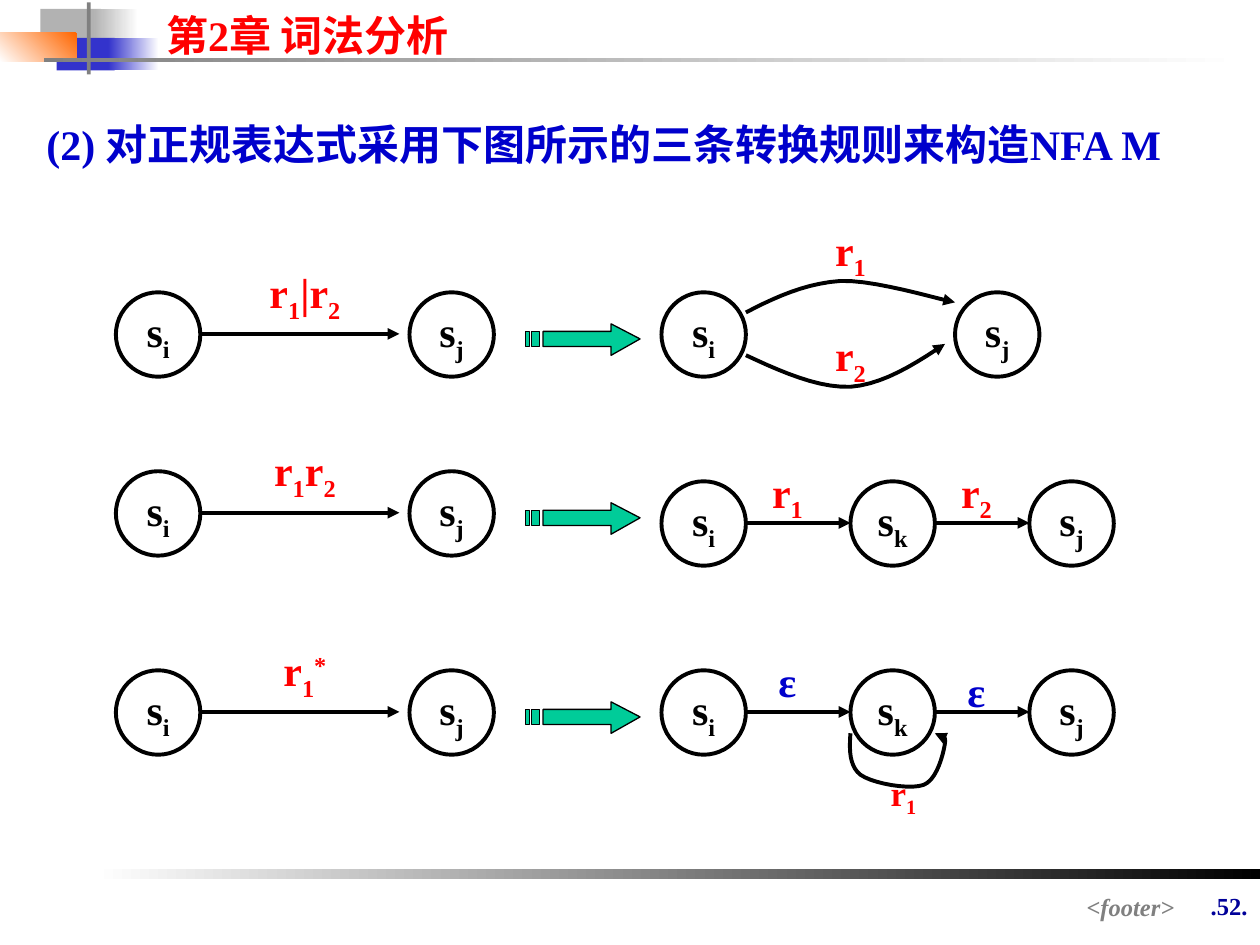
"""Build the slide with three rules for turning a regular expression into an NFA."""
from lxml import etree
from pptx import Presentation
from pptx.dml.color import RGBColor
from pptx.enum.shapes import MSO_CONNECTOR, MSO_SHAPE
from pptx.enum.text import MSO_ANCHOR, PP_ALIGN
from pptx.oxml.ns import qn
from pptx.util import Inches, Pt

RECT, OVAL = MSO_SHAPE.RECTANGLE, MSO_SHAPE.OVAL
LINE = MSO_CONNECTOR.STRAIGHT
MIDDLE = MSO_ANCHOR.MIDDLE
LEFT, CENTER, RIGHT = PP_ALIGN.LEFT, PP_ALIGN.CENTER, PP_ALIGN.RIGHT
FONT = "Times New Roman"
SHIFT = {"_": "-25000", "^": "30000"}
HEX = {
    "black": "000000", "white": "FFFFFF", "red": "FF0000", "blue": "0000CC",
    "navy": "000099", "gray": "808080", "silver": "B2B2B2", "indigo": "3333CC",
    "orange": "FF6600", "green": "00CC99",
}
RGB = {name: RGBColor.from_string(value) for name, value in HEX.items()}


def write(shape, parts, size, color, align=CENTER, italic=False, wrap=True):
    """Fill a shape with runs; a leading _ lowers a run and ^ raises it."""
    frame = shape.text_frame
    frame.word_wrap = wrap
    para = frame.paragraphs[0]
    para.alignment = align
    for part in parts:
        run = para.add_run()
        run.text = part.lstrip("_^")
        run.font.name, run.font.size = FONT, Pt(size)
        run.font.bold, run.font.italic = True, italic
        run.font.color.rgb = RGB[color]
        if part[0] in SHIFT:
            run._r.get_or_add_rPr().set("baseline", SHIFT[part[0]])


def point(edge):
    """Draw an edge in black with an arrowhead at its end and no shadow."""
    edge.line.color.rgb = RGB["black"]
    edge.line.width = Pt(2.25)
    etree.SubElement(edge.line._get_or_add_ln(), qn("a:tailEnd"), type="triangle")
    etree.SubElement(edge._element.spPr, qn("a:effectLst"))


prs = Presentation()
prs.slide_width, prs.slide_height = Inches(10), Inches(7.5)
shapes = prs.slides.add_slide(prs.slide_layouts[6]).shapes

bars = [
    (0.32, 0.07, 0.48, 0.26, "silver", "silver", 0),
    (0.74, 0.07, 0.36, 0.26, "white", "silver", 180),
    (0.45, 0.3, 0.46, 0.26, "indigo", "indigo", 0),
    (0.86, 0.3, 0.4, 0.26, "white", "indigo", 180),
    (0, 0.26, 0.61, 0.23, "orange", "white", 225),
    (0.69, 0.02, 0.03, 0.57, "gray", "gray", 0),
    (0.35, 0.46, 9.51, 0.03, "white", "gray", 180),
    (0.75, 6.9, 9.25, 0.08, "black", "white", 180),
]
for x, y, w, h, first, last, angle in bars:
    bar = shapes.add_shape(RECT, Inches(x), Inches(y), Inches(w), Inches(h))
    bar.shadow.inherit = False
    bar.line.fill.background()
    if first == last:
        bar.fill.solid()
        bar.fill.fore_color.rgb = RGB[first]
    else:
        bar.fill.gradient()
        bar.fill.gradient_angle = angle
        for stop, name in zip(bar.fill.gradient_stops, (first, last)):
            stop.color.rgb = RGB[name]

texts = [
    (1.22, 0.03, 3.15, 0.5, "第2章 词法分析", 24, "red", LEFT, False),
    (0.27, 0.89, 9.53, 0.5, "(2) 对正规表达式采用下图所示的三条转换规则来构造NFA M",
     24, "blue", LEFT, False),
    (9.33, 7.02, 0.67, 0.57, ".52.", 14, "navy", RIGHT, False),
    (2.64, 7.03, 6.78, 0.26, "<footer>", 14, "gray", RIGHT, True),
]
for x, y, w, h, text, size, color, align, italic in texts:
    box = shapes.add_textbox(Inches(x), Inches(y), Inches(w), Inches(h))
    write(box, [text], size, color, align, italic)

rows = [2.65, 4.07, 5.65]
chains = [4.15, 5.65]
nodes = [(x, y, sub) for y in rows for x, sub in ((0.92, "i"), (3.25, "j"))]
nodes += [(5.25, 2.65, "i"), (7.58, 2.65, "j")]
nodes += [(x, y, sub) for y in chains
          for x, sub in ((5.25, "i"), (6.75, "k"), (8.17, "j"))]
for x, y, sub in nodes:
    node = shapes.add_shape(OVAL, Inches(x), Inches(y - 0.33), Inches(0.67), Inches(0.67))
    node.shadow.inherit = False
    node.fill.background()
    node.line.color.rgb = RGB["black"]
    node.line.width = Pt(2.25)
    node.text_frame.vertical_anchor = MIDDLE
    write(node, ["s", "_" + sub], 24, "black", wrap=False)

edges = [(1.58, 3.17, y) for y in rows]
edges += [(a, b, y) for y in chains for a, b in ((5.92, 6.75), (7.42, 8.17))]
for a, b, y in edges:
    point(shapes.add_connector(LINE, Inches(a), Inches(y), Inches(b), Inches(y)))

for y in rows:
    top, low = y - 0.02, y + 0.1
    parts = [
        [(4.31, top), (4.85, top), (4.85, y - 0.08), (5.08, y + 0.04),
         (4.85, y + 0.17), (4.85, low), (4.31, low)],
        [(4.17, top), (4.2, top), (4.2, low), (4.17, low)],
        [(4.22, top), (4.28, top), (4.28, low), (4.22, low)],
    ]
    pen = shapes.build_freeform(Inches(4.31), Inches(top))
    for part in parts:
        dots = [(Inches(px), Inches(py)) for px, py in part]
        pen.move_to(*dots[0])
        pen.add_line_segments(dots[1:], close=True)
    arrow = pen.convert_to_shape()
    arrow.shadow.inherit = False
    arrow.fill.solid()
    arrow.fill.fore_color.rgb = RGB["green"]
    arrow.line.color.rgb = RGB["black"]
    arrow.line.width = Pt(0.75)

curves = [
    [(5.92, 2.48), (6.15, 2.36), (6.39, 2.25), (6.67, 2.23),
     (6.94, 2.22), (7.43, 2.37), (7.58, 2.4)],
    [(5.92, 2.82), (6.2, 2.95), (6.49, 3.08), (6.75, 3.07),
     (7.01, 3.05), (7.26, 2.89), (7.5, 2.73)],
    [(6.75, 5.82), (6.74, 5.95), (6.74, 6.08), (6.83, 6.15),
     (6.93, 6.22), (7.22, 6.27), (7.33, 6.23), (7.44, 6.19),
     (7.49, 5.97), (7.5, 5.9), (7.51, 5.83), (7.47, 5.82), (7.42, 5.82)],
]
STEPS = 10
for curve in curves:
    dots = []
    for k in range(0, len(curve) - 1, 3):
        for step in range(1, STEPS + 1):
            t = step / STEPS
            mix = ((1 - t) ** 3, 3 * t * (1 - t) ** 2, 3 * t * t * (1 - t), t ** 3)
            dots.append([Inches(sum(m * p[axis] for m, p in zip(mix, curve[k:k + 4])))
                         for axis in (0, 1)])
    pen = shapes.build_freeform(Inches(curve[0][0]), Inches(curve[0][1]))
    pen.add_line_segments(dots, close=False)
    arc = pen.convert_to_shape()
    arc.fill.background()
    point(arc)

labels = [
    (1.92, 2.07, ["r", "_1", "|r", "_2"], 24, "red"),
    (1.92, 3.48, ["r", "_1", "r", "_2"], 24, "red"),
    (1.92, 5.07, ["r", "_1", "^*"], 24, "red"),
    (6.25, 1.73, ["r", "_1"], 24, "red"),
    (6.25, 2.57, ["r", "_2"], 24, "red"),
    (5.75, 3.65, ["r", "_1"], 24, "red"),
    (7.25, 3.65, ["r", "_2"], 24, "red"),
    (5.75, 5.15, ["ε"], 24, "blue"),
    (7.25, 5.23, ["ε"], 24, "blue"),
    (6.67, 6.07, ["r", "_1"], 20, "red"),
]
for x, y, parts, size, color in labels:
    box = shapes.add_textbox(Inches(x), Inches(y), Inches(1), Inches(0.56))
    write(box, parts, size, color)

prs.save("out.pptx")
